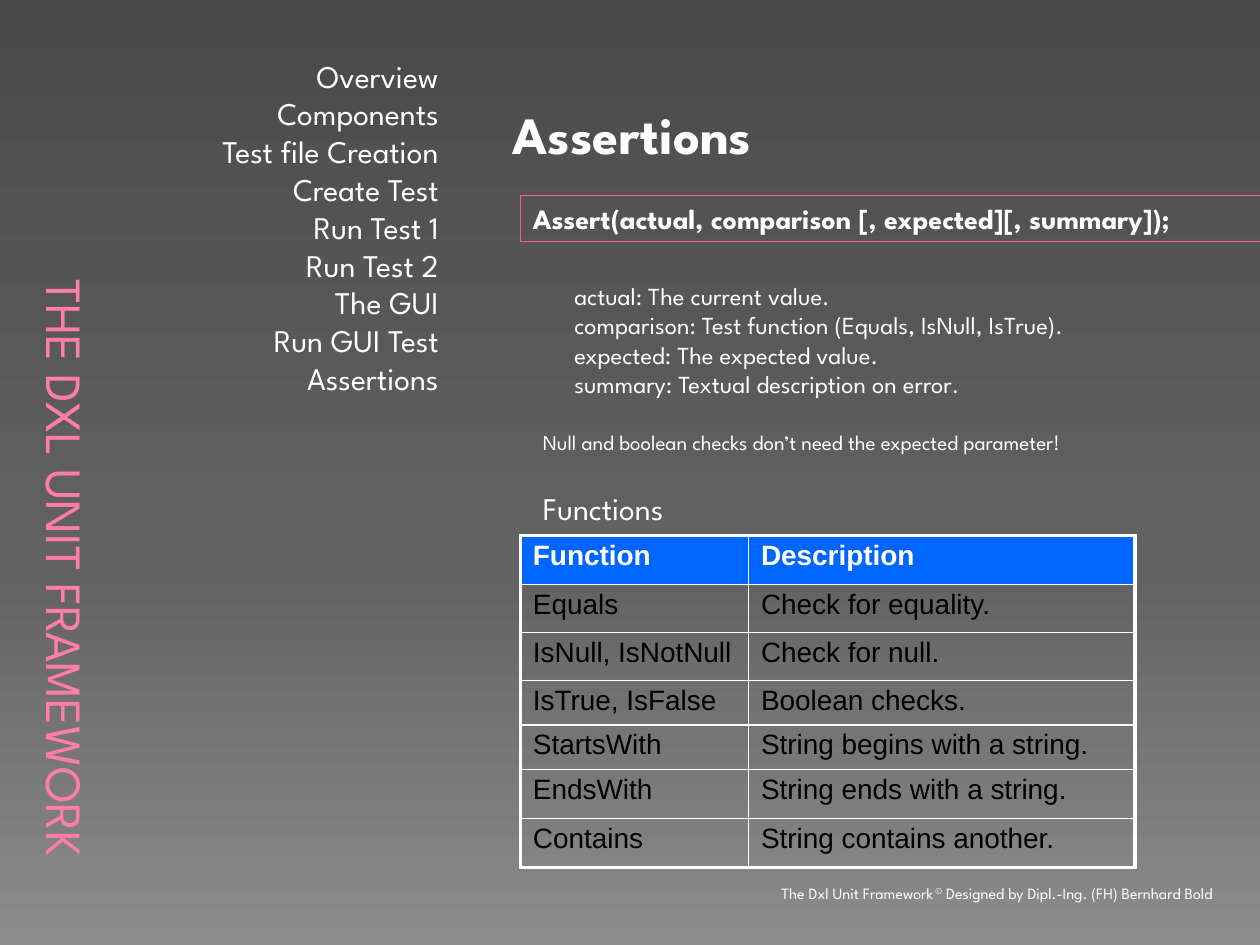
from lxml import etree
from pptx import Presentation
from pptx import util as u
from pptx.dml import color
from pptx.enum import shapes, text
from pptx.oxml import ns

WHITE, BLACK, PINK, BLUE = "FFFFFF", "000000", "FF7DA7", "0066FF"
RIGHT, BOTTOM = text.PP_ALIGN.RIGHT, text.MSO_ANCHOR.BOTTOM


def rgb(value):
    """Turn a hex string into a colour."""
    return color.RGBColor.from_string(value)


def apply(target, values):
    """Set every attribute named in a dict."""
    for name, value in values.items():
        setattr(target, name, value)


def add_colour(parent, value):
    """Append a solid fill colour to an XML element."""
    fill = etree.SubElement(parent, ns.qn("a:solidFill"))
    etree.SubElement(fill, ns.qn("a:srgbClr"), val=value)


class Deck:
    """Holds the style and the current slide."""

    face = "League Spartan"
    thin, thick = 1, 2.25

    def __init__(self, width, height):
        """Start a presentation with one blank slide."""
        self.show = Presentation()
        apply(self.show, {"slide_width": u.Inches(width),
                          "slide_height": u.Inches(height)})
        self.slide = self.show.slides.add_slide(self.show.slide_layouts[6])

    def background(self, stops):
        """Fill the slide from top to bottom with (percent, colour) stops."""
        fill = self.slide.background.fill
        fill.gradient()
        fill.gradient_angle = 270
        stop_list = self.slide.element.find(".//" + ns.qn("a:gsLst"))
        for old in list(stop_list):
            stop_list.remove(old)
        for percent, value in stops:
            stop = etree.SubElement(stop_list, ns.qn("a:gs"), pos=str(percent * 1000))
            etree.SubElement(stop, ns.qn("a:srgbClr"), val=value)

    def set_lines(self, frame, lines, size, ink=WHITE, face=None, bold=False, **layout):
        """Put lines into a text frame; a line is a string or a list of
        (text, baseline percent) runs."""
        for number, line in enumerate(lines):
            para = frame.paragraphs[0] if number == 0 else frame.add_paragraph()
            apply(para, layout)
            for words, raised in [(line, 0)] if isinstance(line, str) else line:
                run = para.add_run()
                run.text = words
                apply(run.font, {"size": u.Pt(size), "bold": bold,
                                 "name": face or self.face})
                run.font.color.rgb = rgb(ink)
                if raised:
                    run._r.get_or_add_rPr().set("baseline", str(raised * 1000))

    def label(self, box, lines, size, wrap=True, anchor=text.MSO_ANCHOR.TOP, **style):
        """Add a text box and return its frame."""
        frame = self.slide.shapes.add_textbox(*map(u.Inches, box)).text_frame
        apply(frame, {"word_wrap": wrap, "vertical_anchor": anchor})
        self.set_lines(frame, lines, size, **style)
        return frame

    def framed(self, box, line, size, edge):
        """Add an unfilled rectangle with a bold line of text."""
        shape = self.slide.shapes.add_shape(
            shapes.MSO_SHAPE.RECTANGLE, *map(u.Inches, box))
        shape.shadow.inherit = False
        shape.fill.background()
        shape.line.color.rgb = rgb(edge)
        shape.line.width = u.Pt(0.75)
        apply(shape.text_frame, {"word_wrap": False,
                                 "vertical_anchor": text.MSO_ANCHOR.TOP})
        self.set_lines(shape.text_frame, [line], size, bold=True,
                       alignment=text.PP_ALIGN.LEFT)

    def borders(self, cell, outer):
        """Draw white cell borders, thick on the sides named in outer."""
        props = cell._tc.get_or_add_tcPr()
        fill = list(props)
        for side in "LRTB":
            width = self.thick if side in outer else self.thin
            line = etree.SubElement(props, ns.qn("a:ln" + side), w=str(u.Pt(width)))
            add_colour(line, WHITE)
        props.extend(fill)

    def table(self, left, top, widths, heights, rows):
        """Add a table with a blue header row and a thick outer frame."""
        grid = self.slide.shapes.add_table(
            len(rows), len(widths), u.Inches(left), u.Inches(top),
            u.Inches(sum(widths)), u.Inches(sum(heights))).table
        for column, width in zip(grid.columns, widths):
            column.width = u.Inches(width)
        for r, (row, height) in enumerate(zip(rows, heights)):
            grid.rows[r].height = u.Inches(height)
            for c, words in enumerate(row):
                cell, header = grid.cell(r, c), r == 0
                if header:
                    cell.fill.solid()
                    cell.fill.fore_color.rgb = rgb(BLUE)
                else:
                    cell.fill.background()
                edges = {"T": header, "B": r == len(rows) - 1,
                         "L": c == 0, "R": c == len(row) - 1}
                self.borders(cell, [side for side, on in edges.items() if on])
                self.set_lines(cell.text_frame, [words], 16, face="Arial", bold=header,
                               ink=WHITE if header else BLACK, line_spacing=0.95)


deck = Deck(10, 7.5)
deck.background([(0, "4A4A4A"), (60, "626262"), (100, "8C8C8C")])

title = deck.label((0.24, 0.4, 1, 6.5), ["THE DXL UNIT FRAMEWORK"], 29,
                   ink=PINK, anchor=BOTTOM, alignment=RIGHT)
title._txBody.bodyPr.set("vert", "vert")

chapters = ["Overview", "Components", "Test file Creation", "Create Test",
            "Run Test 1", "Run Test 2", "The GUI", "Run GUI Test", "Assertions"]
deck.label((1.24, 0.4, 2.34, 6.5), chapters, 18, alignment=RIGHT)

heading = deck.label((3.9, 0.76, 5.84, 0.63), ["Assertions"], 30, bold=True)
heading_props = heading.paragraphs[0]._p.get_or_add_pPr()
heading_props.set("marL", str(u.Inches(0.49)))
heading_props.set("indent", str(u.Inches(-0.42)))

credit = [("The Dxl Unit Framework", 0), (" ©", 30),
          (" Designed by Dipl.-Ing. (FH) Bernhard Bold", 0)]
deck.label((0.51, 6.9, 9.21, 0.31), [credit], 9, anchor=BOTTOM, alignment=RIGHT)

functions = [
    ("Function", "Description"),
    ("Equals", "Check for equality."),
    ("IsNull, IsNotNull", "Check for null."),
    ("IsTrue, IsFalse", "Boolean checks."),
    ("StartsWith", "String begins with a string."),
    ("EndsWith", "String ends with a string."),
    ("Contains", "String contains another."),
]
deck.table(4.13, 4.25, [1.81, 3.07],
           [0.39, 0.38, 0.38, 0.34, 0.34, 0.39, 0.39], functions)

deck.framed((4.13, 1.55, 5.88, 0.37),
            "Assert(actual, comparison [, expected][, summary]);", 16, "FF5698")

parameters = ["actual: The current value.",
              "comparison: Test function (Equals, IsNull, IsTrue).",
              "expected: The expected value.",
              "summary: Textual description on error."]
deck.label((4.46, 2.18, 4.67, 1.04), parameters, 14, wrap=False)
deck.label((4.21, 3.83, 1.35, 0.4), ["Functions"], 18, wrap=False)
deck.label((4.21, 3.36, 5.43, 0.3),
           ["Null and boolean checks don’t need the expected parameter!"], 12)

deck.show.save("out.pptx")
